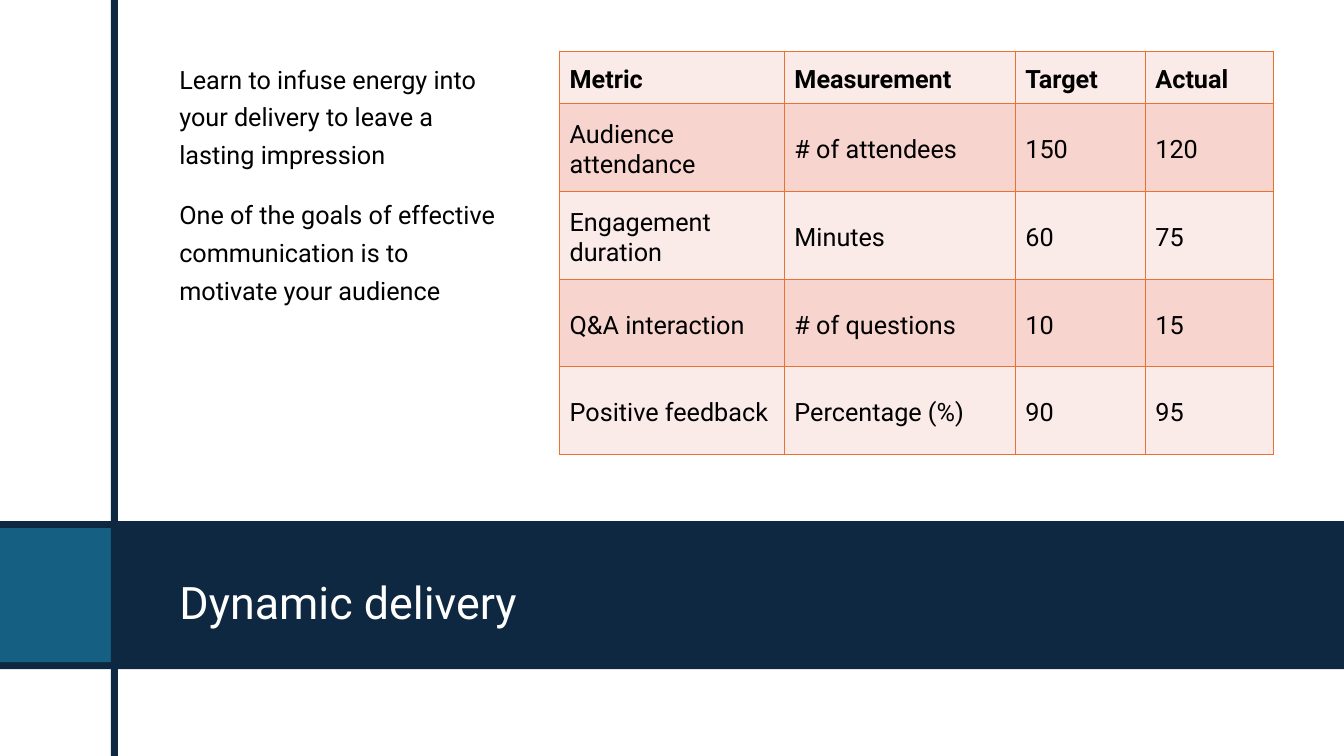
from lxml import etree
from pptx import Presentation
from pptx.dml.color import RGBColor
from pptx.enum.shapes import MSO_SHAPE
from pptx.enum.text import MSO_ANCHOR, MSO_AUTO_SIZE, PP_ALIGN
from pptx.oxml.ns import qn
from pptx.util import Inches, Pt

RECTANGLE = MSO_SHAPE.RECTANGLE
MIDDLE = MSO_ANCHOR.MIDDLE
TOP = MSO_ANCHOR.TOP
LEFT = PP_ALIGN.LEFT
NO_AUTOFIT = MSO_AUTO_SIZE.NONE

NAVY = RGBColor(0x0E, 0x28, 0x41)
TEAL = RGBColor(0x15, 0x60, 0x82)
WHITE = RGBColor(0xFF, 0xFF, 0xFF)
BLACK = RGBColor(0x00, 0x00, 0x00)
ORANGE = RGBColor(0xE9, 0x71, 0x32)
LIGHT_PINK = RGBColor(0xFB, 0xEB, 0xE8)
DARK_PINK = RGBColor(0xF7, 0xD5, 0xCE)

FONT = "Roboto"
SLIDE_WIDTH = 13.33
SLIDE_HEIGHT = 7.5
BAR_THICKNESS = 0.07

MESSAGES = [
    "Learn to infuse energy into your delivery to leave a lasting impression",
    "One of the goals of effective communication is to motivate your audience",
]
METRICS = [
    ["Metric", "Measurement", "Target", "Actual"],
    ["Audience attendance", "# of attendees", "150", "120"],
    ["Engagement duration", "Minutes", "60", "75"],
    ["Q&A interaction", "# of questions", "10", "15"],
    ["Positive feedback", "Percentage (%)", "90", "95"],
]
COLUMN_WIDTHS = [2.23, 2.29, 1.29, 1.27]
HEADER_HEIGHT = 0.52


def add_text(paragraph, text, size, color, bold=False):
    paragraph.alignment = LEFT
    run = paragraph.add_run()
    run.text = text
    run.font.name = FONT
    run.font.size = Pt(size)
    run.font.bold = bold
    run.font.color.rgb = color


def set_margins(target, top):
    target.margin_left = target.margin_right = Inches(0.1)
    target.margin_top = Inches(top)
    target.margin_bottom = Inches(0.05)


def add_block(slide, left, top, width, height, color):
    block = slide.shapes.add_shape(
        RECTANGLE, Inches(left), Inches(top), Inches(width), Inches(height))
    block.shadow.inherit = False
    block.fill.solid()
    block.fill.fore_color.rgb = color
    block.line.fill.background()


def add_frame(slide, left, top, width, height):
    add_block(slide, left, top, width, height, NAVY)
    add_block(slide, left, top + BAR_THICKNESS, 1.1,
              height - 2 * BAR_THICKNESS, TEAL)
    add_block(slide, left + 1.1, 0, BAR_THICKNESS, SLIDE_HEIGHT, NAVY)


def add_title(slide, left, top, width, height):
    title = slide.shapes.title
    title.left, title.top = Inches(left), Inches(top)
    title.width, title.height = Inches(width), Inches(height)
    title.element.getparent().append(title.element)
    frame = title.text_frame
    frame.auto_size = NO_AUTOFIT
    frame.word_wrap = True
    frame.vertical_anchor = MIDDLE
    set_margins(frame, 0.2)
    add_text(frame.paragraphs[0], "Dynamic delivery", 32, WHITE)


def add_messages(slide, left, top, width, height):
    box = slide.shapes.add_textbox(
        Inches(left), Inches(top), Inches(width), Inches(height))
    frame = box.text_frame
    frame.word_wrap = True
    frame.vertical_anchor = TOP
    set_margins(frame, 0.05)
    for index, message in enumerate(MESSAGES):
        paragraph = frame.add_paragraph() if index else frame.paragraphs[0]
        paragraph.line_spacing = 1.25
        paragraph.space_before = Pt(10)
        paragraph.space_after = Pt(6)
        add_text(paragraph, message, 18, BLACK)


def add_borders(cell):
    properties = cell._tc.get_or_add_tcPr()
    for position, side in enumerate(["a:lnL", "a:lnR", "a:lnT", "a:lnB"]):
        line = etree.Element(qn(side), w=str(Pt(1)))
        fill = etree.SubElement(line, qn("a:solidFill"))
        etree.SubElement(fill, qn("a:srgbClr"), val=str(ORANGE))
        properties.insert(position, line)


def add_metrics_table(slide, left, top, width, height):
    table = slide.shapes.add_table(
        len(METRICS), len(COLUMN_WIDTHS),
        Inches(left), Inches(top), Inches(width), Inches(height)).table
    for column, column_width in zip(table.columns, COLUMN_WIDTHS):
        column.width = Inches(column_width)
    body_height = (height - HEADER_HEIGHT) / (len(METRICS) - 1)
    for row_index, values in enumerate(METRICS):
        is_header = row_index == 0
        table.rows[row_index].height = Inches(
            HEADER_HEIGHT if is_header else body_height)
        for column_index, value in enumerate(values):
            cell = table.cell(row_index, column_index)
            cell.fill.solid()
            cell.fill.fore_color.rgb = DARK_PINK if row_index % 2 else LIGHT_PINK
            cell.vertical_anchor = MIDDLE
            set_margins(cell, 0.1)
            add_borders(cell)
            add_text(cell.text_frame.paragraphs[0], value, 18, BLACK, is_header)


def main():
    presentation = Presentation()
    presentation.slide_width = Inches(SLIDE_WIDTH)
    presentation.slide_height = Inches(SLIDE_HEIGHT)
    slide = presentation.slides.add_slide(
        presentation.slide_layouts.get_by_name("Title Only"))
    add_frame(slide, 0, 5.17, SLIDE_WIDTH, 1.47)
    add_title(slide, 1.68, 5.33, 10.95, 1.13)
    add_messages(slide, 1.68, 0.51, 3.39, 4.23)
    add_metrics_table(slide, 5.55, 0.51, sum(COLUMN_WIDTHS), 4)
    presentation.save("out.pptx")


if __name__ == "__main__":
    main()
